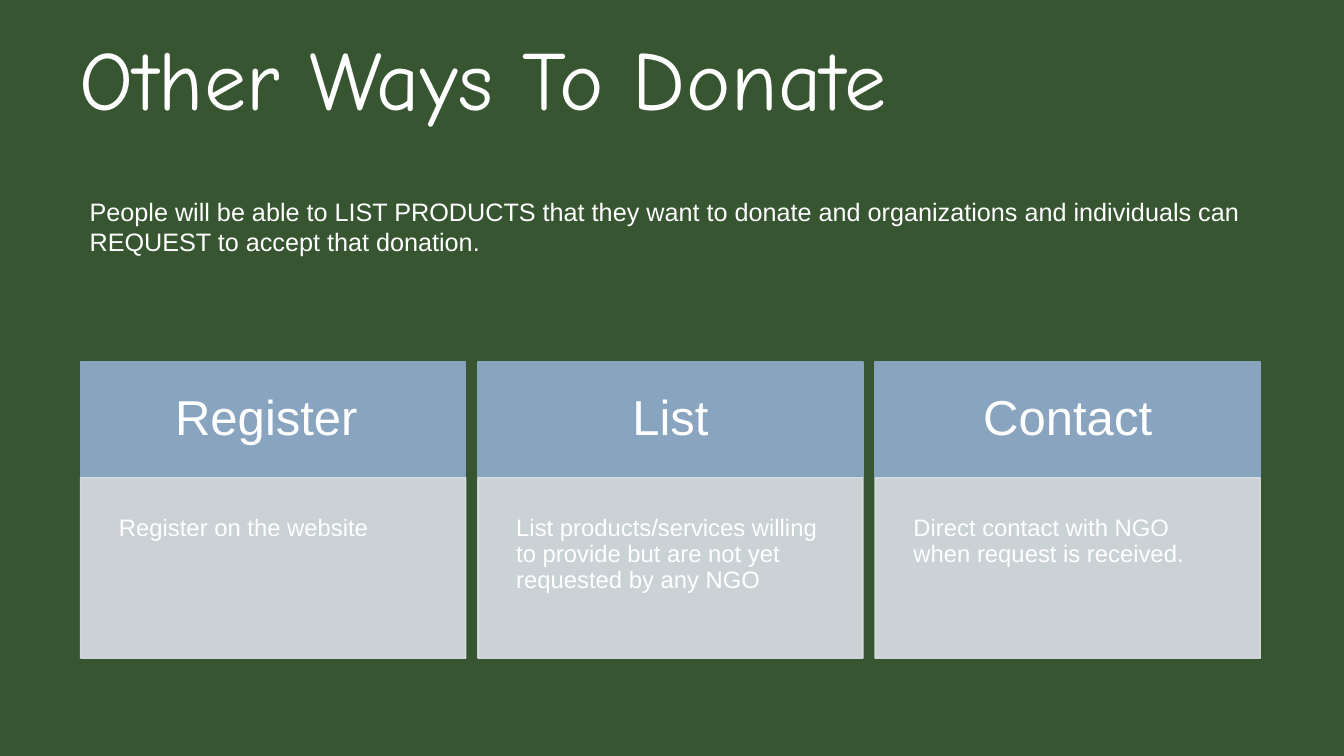
import pptx
import pptx.dml.color
import pptx.enum.shapes
import pptx.enum.text
import pptx.oxml
import pptx.oxml.ns
import pptx.util
from pptx.util import Inches

COLORS = {
    "background": "375531",
    "text": "FFFFFF",
    "header": "88A4BF",
    "body": "DAE0E8",
}
STEPS = [
    ("Register ", "Register on the website"),
    ("List", "List products/services willing to provide but are not yet requested by any NGO"),
    ("Contact", "Direct contact with NGO when request is received."),
]
CENTER = pptx.enum.text.PP_ALIGN.CENTER
LEFT = pptx.enum.text.PP_ALIGN.LEFT
TOP = pptx.enum.text.MSO_ANCHOR.TOP
MIDDLE = pptx.enum.text.MSO_ANCHOR.MIDDLE


def color(name):
    return pptx.dml.color.RGBColor.from_string(COLORS[name])


def write_text(shape, text, size, font="Arial", align=LEFT, anchor=TOP,
               margins=(0.1, 0.05), line_spacing=1.0, tracking=None):
    """Fill a shape with one paragraph; margins are horizontal, vertical in inches."""
    frame = shape.text_frame
    frame.word_wrap = True
    frame.vertical_anchor = anchor
    frame.margin_left = frame.margin_right = Inches(margins[0])
    frame.margin_top = frame.margin_bottom = Inches(margins[1])
    paragraph = frame.paragraphs[0]
    paragraph.alignment = align
    paragraph.line_spacing = line_spacing
    run = paragraph.add_run()
    run.text = text
    run.font.name = font
    run.font.size = pptx.util.Pt(size)
    run.font.color.rgb = color("text")
    if tracking:
        run.font._element.set("spc", str(int(tracking * 100)))


def add_text(slide, box, text, **text_format):
    shape = slide.shapes.add_textbox(*(Inches(length) for length in box))
    write_text(shape, text, **text_format)


def add_panel(slide, box, color_name, text, opacity=None, **text_format):
    shape = slide.shapes.add_shape(
        pptx.enum.shapes.MSO_SHAPE.RECTANGLE, *(Inches(length) for length in box))
    shape.shadow.inherit = False
    shape.fill.solid()
    shape.fill.fore_color.rgb = color(color_name)
    shape.line.color.rgb = color(color_name)
    shape.line.width = pptx.util.Pt(1)
    if opacity:
        for color_element in shape._element.spPr.iter(pptx.oxml.ns.qn("a:srgbClr")):
            alpha = pptx.oxml.parse_xml(
                f'<a:alpha {pptx.oxml.ns.nsdecls("a")} val="{opacity * 1000}"/>')
            color_element.append(alpha)
    write_text(shape, text, line_spacing=0.9, **text_format)


def add_step(slide, box, heading, description):
    left, top, width, height = box
    header_height = 1.15
    add_panel(slide, (left, top, width, header_height), "header", heading,
              size=35, align=CENTER, anchor=MIDDLE, margins=(0.3, 0.3))
    add_panel(slide, (left, top + header_height, width, height - header_height), "body",
              description, opacity=90, size=17, margins=(0.38, 0.38))


def add_steps(slide, box, gap=0.12):
    left, top, width, height = box
    step_width = (width - gap * (len(STEPS) - 1)) / len(STEPS)
    for index, (heading, description) in enumerate(STEPS):
        step_left = left + index * (step_width + gap)
        add_step(slide, (step_left, top, step_width, height), heading, description)


def main():
    presentation = pptx.Presentation()
    presentation.slide_width = Inches(13.33)
    presentation.slide_height = Inches(7.5)
    slide = presentation.slides.add_slide(presentation.slide_layouts[6])
    slide.background.fill.solid()
    slide.background.fill.fore_color.rgb = color("background")

    add_text(slide, (0.79, 0.39, 11.73, 1.62), "Other Ways To Donate", size=60,
             font="Comic Neue", margins=(0, 0), line_spacing=0.88, tracking=0.4)
    add_steps(slide, (0.8, 3.59, 11.7, 2.94))
    add_text(slide, (0.79, 1.9, 11.75, 0.71),
             "People will be able to LIST PRODUCTS that they want to donate and "
             "organizations and individuals can REQUEST to accept that donation. ", size=18)
    presentation.save("out.pptx")


if __name__ == "__main__":
    main()
